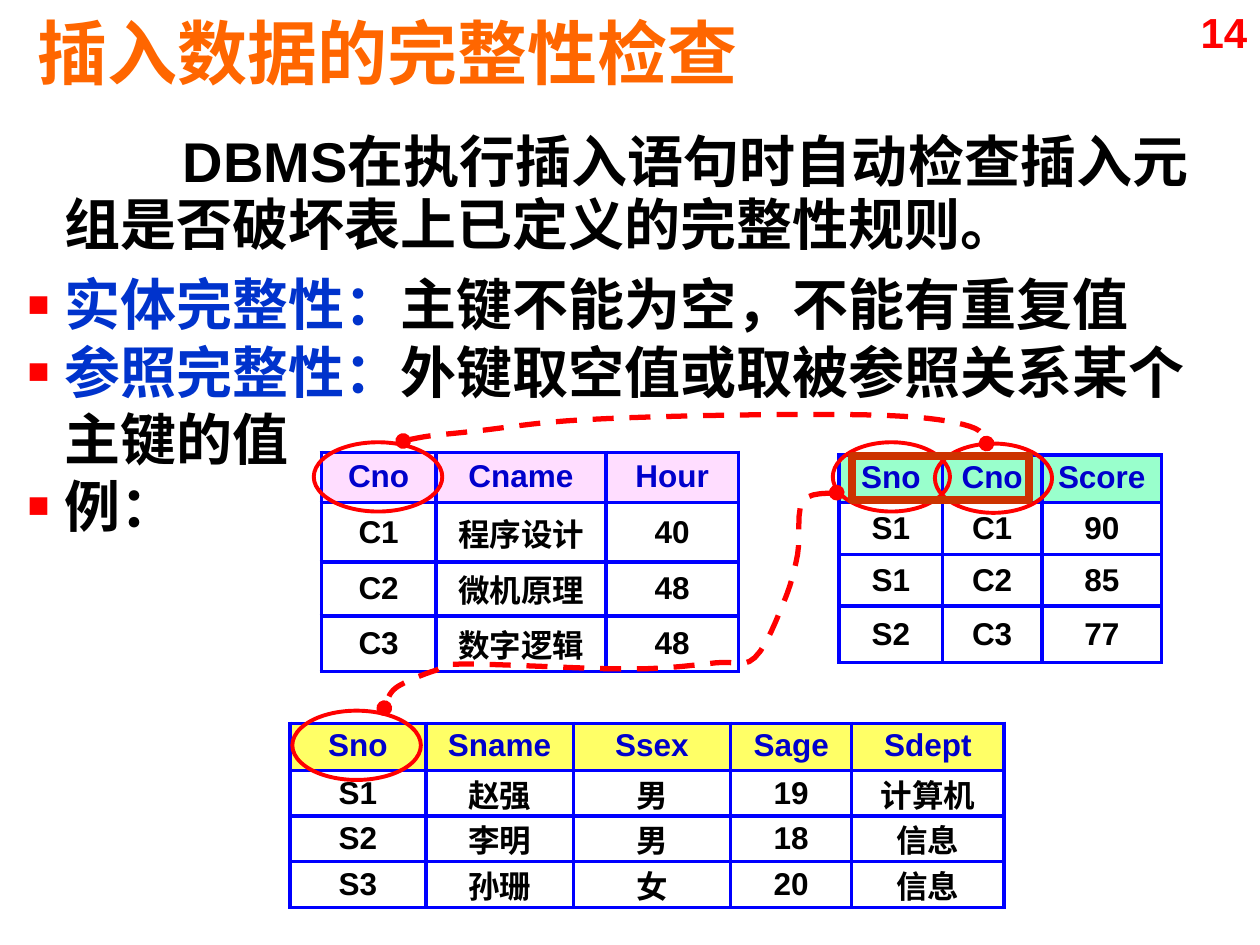
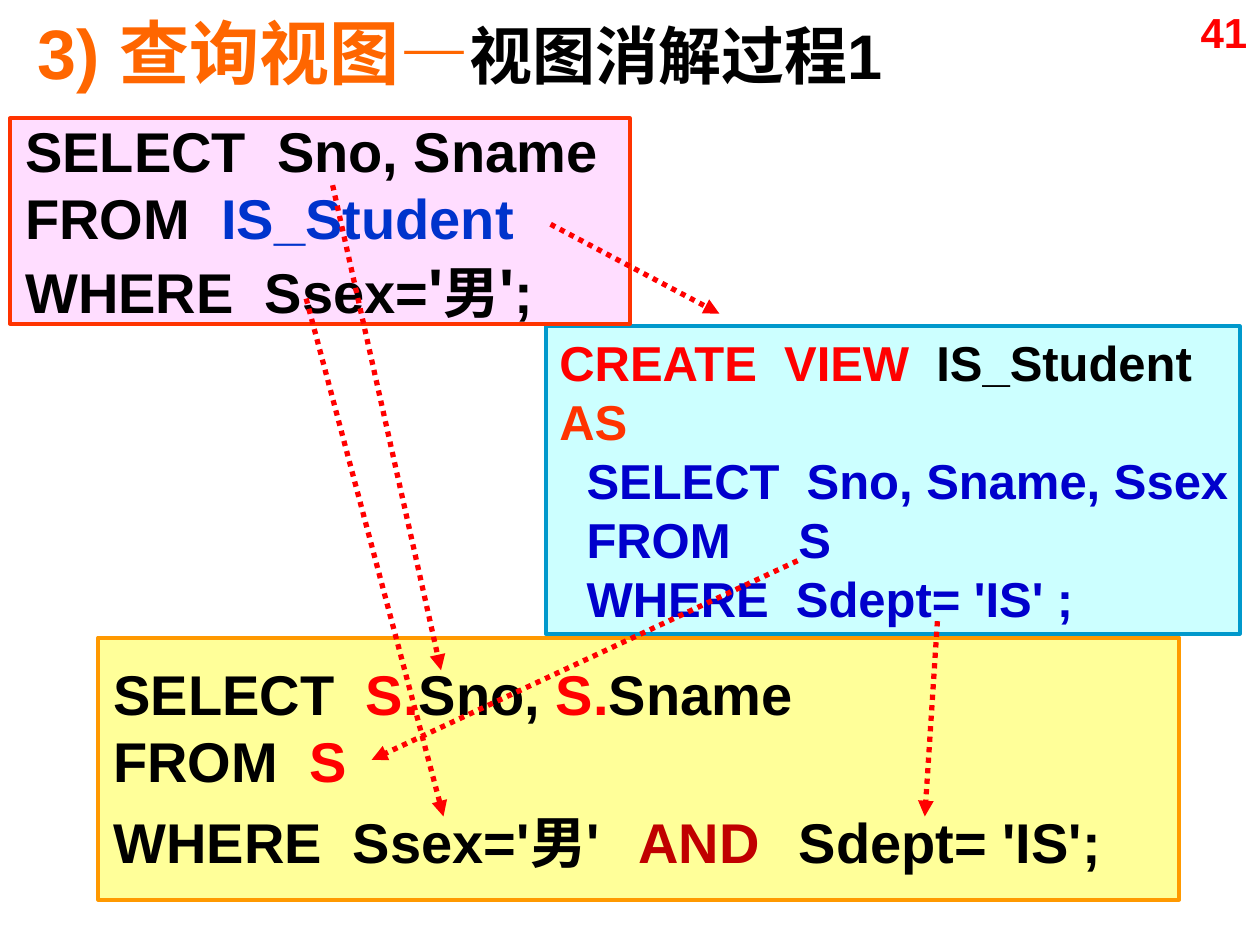
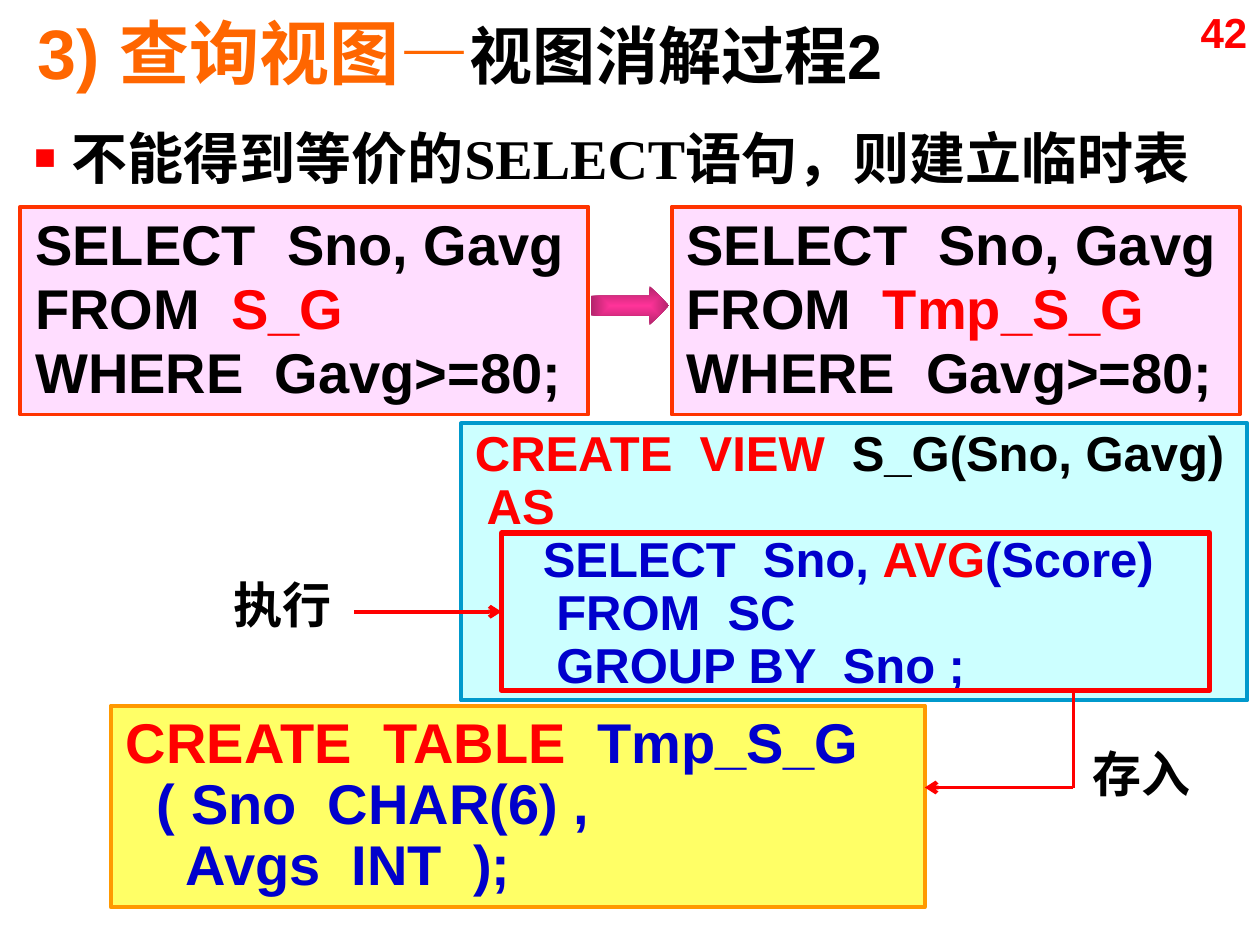
from lxml import etree
from pptx import Presentation
from pptx import util as u
from pptx.dml.color import RGBColor
from pptx.enum import dml, shapes, text
from pptx.oxml.ns import qn

RED, BLACK, BLUE, NAVY = "FF0000", "000000", "0033CC", "0000CC"
ORANGE, WHITE, GRID_BLUE = "FF6600", "FFFFFF", "0000FF"
PINK, CYAN, YELLOW, PALE_YELLOW, MINT = "FFDDFF", "CCFFFF", "FFFF66", "FFFF99", "99FFCC"
PINK_BOX, CYAN_BOX = (PINK, "FF3300"), (CYAN, "0099CC")
COLUMNS, ROWS = 100, 75
CELL = 0.1


def grid(*cells):
    """Turn counts of grid cells into lengths."""
    return [u.Inches(cell * CELL) for cell in cells]


def color(value):
    """Turn a hex string into a colour."""
    return RGBColor.from_string(value)


def add_xml(parent, tag, **attributes):
    """Append a DrawingML element to its parent."""
    return etree.SubElement(parent, qn("a:" + tag), attributes)


def set_font(font, size=None, fill=None, name=None):
    """Format a font, bold unless only the colour or size changes."""
    if name:
        font.name, font.bold = name, True
    if size:
        font.size = u.Pt(size)
    if fill:
        font.color.rgb = color(fill)


def write_runs(paragraph, runs, size, name="Arial", spacing=1.0):
    """Write (text, colour, size) runs into a paragraph."""
    paragraph.line_spacing = spacing
    set_font(paragraph.font, size, runs[0][1], name)
    for words, fill, *own_size in runs:
        run = paragraph.add_run()
        run.text = words
        if fill != runs[0][1]:
            set_font(run.font, fill=fill)
        if own_size:
            set_font(run.font, size=own_size[0])


def set_frame(frame, inset=0, anchor=text.MSO_ANCHOR.MIDDLE, wrap=False):
    """Set the left inset, anchor and wrapping of a frame without autofit."""
    frame.auto_size = text.MSO_AUTO_SIZE.NONE
    frame.word_wrap = wrap
    frame.vertical_anchor = anchor
    frame.margin_left = u.Inches(inset)
    frame.margin_right = frame.margin_top = frame.margin_bottom = 0


def paragraphs_for(frame, lines):
    """Pair each line with a paragraph of the frame."""
    for index, line in enumerate(lines):
        yield (frame.add_paragraph() if index else frame.paragraphs[0]), line


def move(shape, cells):
    """Place a shape on the grid."""
    shape.left, shape.top, shape.width, shape.height = grid(*cells)


def add_slide(presentation, layout, number, title_runs):
    """Add a slide with its title and page number."""
    slide = presentation.slides.add_slide(presentation.slide_layouts[layout])
    title = slide.shapes.title
    move(title, (2, 1.3, 94.7, 5.5))
    set_frame(title.text_frame, 0.1, wrap=True)
    paragraph = title.text_frame.paragraphs[0]
    paragraph.alignment = text.PP_ALIGN.LEFT
    write_runs(paragraph, title_runs, 40)
    add_label(slide, (COLUMNS - 6.8, 0.5, 5.8, 4), number, 24, RED, text.PP_ALIGN.RIGHT)
    return slide


def add_label(slide, cells, words, size, fill=BLACK, alignment=text.PP_ALIGN.LEFT):
    """Add a one-line text box."""
    frame = slide.shapes.add_textbox(*grid(*cells)).text_frame
    set_frame(frame, wrap=True)
    frame.paragraphs[0].alignment = alignment
    write_runs(frame.paragraphs[0], [(words, fill)], size)


def set_indent(paragraph, left, first):
    """Set the left and first-line indents in inches and return the properties."""
    properties = paragraph._p.get_or_add_pPr()
    properties.set("marL", str(u.Inches(left)))
    properties.set("indent", str(u.Inches(first)))
    return properties


def add_bullet(paragraph, indent):
    """Give a paragraph a small red square bullet."""
    properties = set_indent(paragraph, indent, -indent)
    add_xml(add_xml(properties, "buClr"), "srgbClr", val=RED)
    add_xml(properties, "buSzPct", val="65000")
    add_xml(properties, "buFont", typeface="Arial")
    add_xml(properties, "buChar", char="■")


def fill_body(slide, cells, items, indent, name="Arial", intro=None):
    """Fill the body placeholder with an optional intro and bulleted items."""
    body = slide.placeholders[1]
    move(body, cells)
    frame = body.text_frame
    set_frame(frame, 0.1, text.MSO_ANCHOR.TOP, True)
    frame.margin_right, frame.margin_top = u.Inches(0.1), u.Inches(0.05)
    lines = ([intro] if intro else []) + items
    for index, (paragraph, runs) in enumerate(paragraphs_for(frame, lines)):
        paragraph.space_before = u.Pt(6.4 if intro and index == 1 else 0)
        if runs is intro:
            add_xml(set_indent(paragraph, indent, 0.94), "buNone")
        else:
            add_bullet(paragraph, indent)
        write_runs(paragraph, runs, 32, name, 0.95 if runs is intro else 1.0)


def add_outline(slide, kind, cells, line, width=2.25, fill=None):
    """Add a preset shape with a line and an optional fill."""
    shape = slide.shapes.add_shape(kind, *grid(*cells))
    shape.shadow.inherit = False
    if fill:
        shape.fill.solid()
        shape.fill.fore_color.rgb = color(fill)
    else:
        shape.fill.background()
    shape.line.color.rgb = color(line)
    shape.line.width = u.Pt(width)
    return shape


def add_code(slide, cells, colors, lines, size=32, spacing=1.0):
    """Add a framed box of code."""
    fill, line = colors
    box = add_outline(slide, shapes.MSO_SHAPE.RECTANGLE, cells, line, fill=fill)
    set_frame(box.text_frame, 0.12 if size == 32 else 0.11)
    for paragraph, runs in paragraphs_for(box.text_frame, lines):
        paragraph.alignment = text.PP_ALIGN.LEFT
        write_runs(paragraph, runs, size, spacing=spacing)


def style_line(shape, width, dash=None, head=None, tail=None):
    """Make a line red, with an optional dash and arrowheads."""
    shape.line.color.rgb = color(RED)
    shape.line.width = u.Pt(width)
    if dash:
        shape.line.dash_style = dash
    properties = shape._element.spPr
    line = properties.find(qn("a:ln"))
    for tag, kind in (("headEnd", head), ("tailEnd", tail)):
        if kind:
            add_xml(line, tag, type=kind)
    if properties.find(qn("a:effectLst")) is None:
        add_xml(properties, "effectLst")


def add_line(slide, start, end, width=2.25, dash=None, tail=None):
    """Add a straight red connector."""
    connector = slide.shapes.add_connector(
        shapes.MSO_CONNECTOR.STRAIGHT, *grid(*start, *end))
    style_line(connector, width, dash, tail=tail)
    return connector


def smooth_points(points, steps=6):
    """Yield points of a Catmull-Rom curve through the given points."""
    padded = [points[0], *points, points[-1]]
    for before, start, end, after in zip(padded, padded[1:], padded[2:], padded[3:]):
        for step in range(1, steps + 1):
            t = step / steps
            yield tuple(
                0.5 * (2 * b + (c - a) * t + (2 * a - 5 * b + 4 * c - d) * t ** 2
                       + (3 * b - a - 3 * c + d) * t ** 3)
                for a, b, c, d in zip(before, start, end, after))


def add_link_curve(slide, points):
    """Add a dashed red curve with round ends."""
    builder = slide.shapes.build_freeform(*grid(*points[0]))
    builder.add_line_segments([grid(*point) for point in smooth_points(points)], close=False)
    curve = builder.convert_to_shape()
    curve.shadow.inherit = False
    curve.fill.background()
    style_line(curve, 3, dml.MSO_LINE.DASH, "oval", "oval")


def add_data_table(slide, corner, widths, heights, header_fill, records):
    """Add a bordered table whose first record is the header."""
    size = sum(widths), sum(heights)
    table = slide.shapes.add_table(
        len(heights), len(widths), *grid(*corner, *size)).table
    table.first_row = table.horz_banding = False
    for parts, lengths, side in ((table.columns, widths, "width"), (table.rows, heights, "height")):
        for part, length in zip(parts, grid(*lengths)):
            setattr(part, side, length)
    for row, record in enumerate(records):
        for column, value in enumerate(record.split()):
            format_cell(table.cell(row, column), value, row == 0, header_fill)


def format_cell(cell, value, is_header, header_fill):
    """Write and format one table cell."""
    cell.margin_left = cell.margin_right = cell.margin_top = cell.margin_bottom = 0
    cell.vertical_anchor = text.MSO_ANCHOR.MIDDLE
    paragraph = cell.text_frame.paragraphs[0]
    paragraph.alignment = text.PP_ALIGN.CENTER
    write_runs(paragraph, [(value, NAVY if is_header else BLACK)], 18,
               spacing=0.9 if is_header else 1.0)
    properties = cell._tc.get_or_add_tcPr()
    for side in ("lnL", "lnR", "lnT", "lnB"):
        border = add_xml(properties, side, w=str(u.Pt(2.25)))
        add_xml(add_xml(border, "solidFill"), "srgbClr", val=GRID_BLUE)
    cell.fill.solid()
    cell.fill.fore_color.rgb = color(header_fill if is_header else WHITE)


def add_gradient_arrow(slide, cells):
    """Add a pink right arrow that darkens towards its edges."""
    arrow = slide.shapes.add_shape(shapes.MSO_SHAPE.RIGHT_ARROW, *grid(*cells))
    arrow.shadow.inherit = False
    arrow.line.fill.background()
    arrow.fill.gradient()
    for stop, shade in zip(arrow.fill.gradient_stops, ("FF3399", "B2246B")):
        stop.color.rgb = color(shade)
    gradient = arrow._element.spPr.find(qn("a:gradFill"))
    gradient.remove(gradient.find(qn("a:lin")))
    center = add_xml(gradient, "path", path="rect")
    add_xml(center, "fillToRect", l="50000", t="50000", r="50000", b="50000")


def view_title(step):
    """Return the title runs of a view resolution slide."""
    return [("3) 查询视图—", ORANGE), (f"视图消解过程{step}", BLACK, 36)]


def build_integrity_slide(presentation):
    """Build the slide on integrity checks for inserted data."""
    slide = add_slide(presentation, 1, "14", [("插入数据的完整性检查", ORANGE)])
    fill_body(slide, (1.2, 9.9, 98.3, 33.9), [
        [("实体完整性：", BLUE), ("主键不能为空，不能有重复值", BLACK)],
        [("参照完整性：", BLUE), ("外键取空值或取被参照关系某个主键的值", BLACK)],
        [("例：", BLACK)],
    ], 0.29, intro=[("DBMS在执行插入语句时自动检查插入元组是否破坏表上已定义的完整性规则。", BLACK)])
    add_data_table(slide, (23, 57.4), (10.8, 11.7, 12.5, 9.6, 12.1), (3.75, 3.6, 3.6, 3.6), YELLOW, [
        "Sno Sname Ssex Sage Sdept", "S1 赵强 男 19 计算机", "S2 李明 男 18 信息", "S3 孙珊 女 20 信息"])
    add_data_table(slide, (25.5, 35.9), (9.1, 13.5, 10.5), (4, 4.7, 4.3, 4.4), PINK, [
        "Cno Cname Hour", "C1 程序设计 40", "C2 微机原理 48", "C3 数字逻辑 48"])
    add_data_table(slide, (66.6, 36.1), (8.2, 7.9, 9.5), (3.8, 4.1, 4.1, 4.5), MINT, [
        "Sno Cno Score", "S1 C1 90", "S1 C2 85", "S2 C3 77"])
    add_link_curve(slide, [(32, 35), (34.1, 34.6), (37.9, 34.2), (45, 33.4), (55.2, 33),
                           (67, 32.9), (73.6, 33.2), (77.4, 34), (78.3, 35.2)])
    add_link_curve(slide, [(66.4, 39.1), (63.7, 39.8), (63.3, 44), (62.2, 47.8), (59.9, 52.2),
                           (56.9, 52.6), (50, 53.1), (36.9, 52.7), (34.6, 53.2), (32.3, 54.1),
                           (31.1, 54.9), (30.5, 56.2)])
    for left, top, width in ((24.9, 35.1, 10.2), (23.2, 56.4, 10.2), (66.1, 35.1, 9.3), (74.2, 35.2, 9.3)):
        add_outline(slide, shapes.MSO_SHAPE.OVAL, (left, top, width, 5.5), RED)
    add_outline(slide, shapes.MSO_SHAPE.RECTANGLE, (67.6, 36.2, 14.1, 3.5), "CC3300", 4.5)


def build_merge_slide(presentation):
    """Build the slide that merges a query with its view."""
    slide = add_slide(presentation, 5, "41", view_title(1))
    add_code(slide, (43.3, 25.9, 55.1, 24.4), CYAN_BOX, [
        [("CREATE  VIEW  ", RED), ("IS_Student", BLACK)],
        [("AS", "FF3300")],
        [("  SELECT  Sno, Sname, Ssex", NAVY)],
        [("  FROM     S", NAVY)],
        [("  WHERE  Sdept= 'IS' ;", NAVY)],
    ], 28)
    add_code(slide, (0.8, 9.4, 49.2, 16.3), PINK_BOX, [
        [("SELECT  Sno, Sname", BLACK)],
        [("FROM  ", BLACK), ("IS_Student", BLUE)],
        [("WHERE  Ssex=", BLACK), ("'", BLACK, 36), ("男", BLACK), ("'", BLACK, 36), (";", BLACK)],
    ])
    add_code(slide, (7.8, 50.6, 85.8, 20.8), (PALE_YELLOW, "FF9900"), [
        [("SELECT  ", BLACK), ("S.", RED), ("Sno, ", BLACK), ("S.", RED), ("Sname", BLACK)],
        [("FROM  ", BLACK), ("S", RED)],
        [("WHERE  Ssex='男'", BLACK), ("  ", BLACK, 40), ("AND", "C00000"),
         ("  ", BLACK, 40), ("Sdept= 'IS';", BLACK)],
    ])
    for start, end in (((43.7, 17.8), (57.1, 24.9)), ((63.3, 44.5), (29.5, 60.3)),
                       ((26.4, 14.7), (35, 53.2)), ((74.4, 49.3), (73.4, 64.8)),
                       ((24.3, 23.7), (35.2, 64.8))):
        add_line(slide, start, end, 3, dml.MSO_LINE.ROUND_DOT, "triangle")


def build_temporary_table_slide(presentation):
    """Build the slide that resolves a view through a temporary table."""
    slide = add_slide(presentation, 1, "42", view_title(2))
    fill_body(slide, (1.7, 9.3, 96.8, 9.4),
              [[("不能得到等价的SELECT语句，则建立临时表", BLACK)]], 0.3, "Times New Roman")
    add_code(slide, (36.6, 33.6, 62.4, 22), CYAN_BOX, [
        [("CREATE  VIEW  ", RED), ("S_G(Sno, Gavg)", BLACK)],
        [(" AS", RED)],
        [("     SELECT  Sno, ", NAVY), ("AVG", RED), ("(Score)", NAVY)],
        [("      FROM  SC", NAVY)],
        [("      GROUP BY  Sno ;", NAVY)],
    ], 28, 0.9)
    for left, source in ((1.6, "S_G"), (53.3, "Tmp_S_G")):
        add_code(slide, (left, 16.4, 45.1, 16.5), PINK_BOX, [
            [("SELECT  Sno, Gavg", BLACK)],
            [("FROM  ", BLACK), (source, RED)],
            [("WHERE  Gavg>=80;", BLACK)],
        ], spacing=0.95)
    add_code(slide, (8.8, 56, 64.6, 16), (YELLOW, "FF9900"), [
        [("CREATE  TABLE", RED), ("  Tmp_S_G", NAVY)],
        [("  ( Sno  CHAR(6) ,", NAVY)],
        [("    Avgs  INT  );", NAVY)],
    ], spacing=0.9)
    add_gradient_arrow(slide, (46.9, 22.7, 6.2, 3.1))
    add_line(slide, (85.2, 54.7), (85.2, 62.5))
    add_line(slide, (85.2, 62.5), (73.4, 62.5), tail="arrow")
    query = add_outline(slide, shapes.MSO_SHAPE.RECTANGLE, (39.8, 42.3, 56.2, 12.5), RED, 3)
    execute = add_line(slide, (28.1, 48.55), (39.8, 48.55), tail="arrow")
    execute.end_connect(query, 1)
    add_label(slide, (18.5, 45.2, 10.2, 5.5), "执行", 28)
    add_label(slide, (86.7, 58.6, 10.2, 5.5), "存入", 28)


def main():
    """Build and save the presentation."""
    presentation = Presentation()
    presentation.slide_width, presentation.slide_height = grid(COLUMNS, ROWS)
    build_integrity_slide(presentation)
    build_merge_slide(presentation)
    build_temporary_table_slide(presentation)
    presentation.save("out.pptx")


if __name__ == "__main__":
    main()
